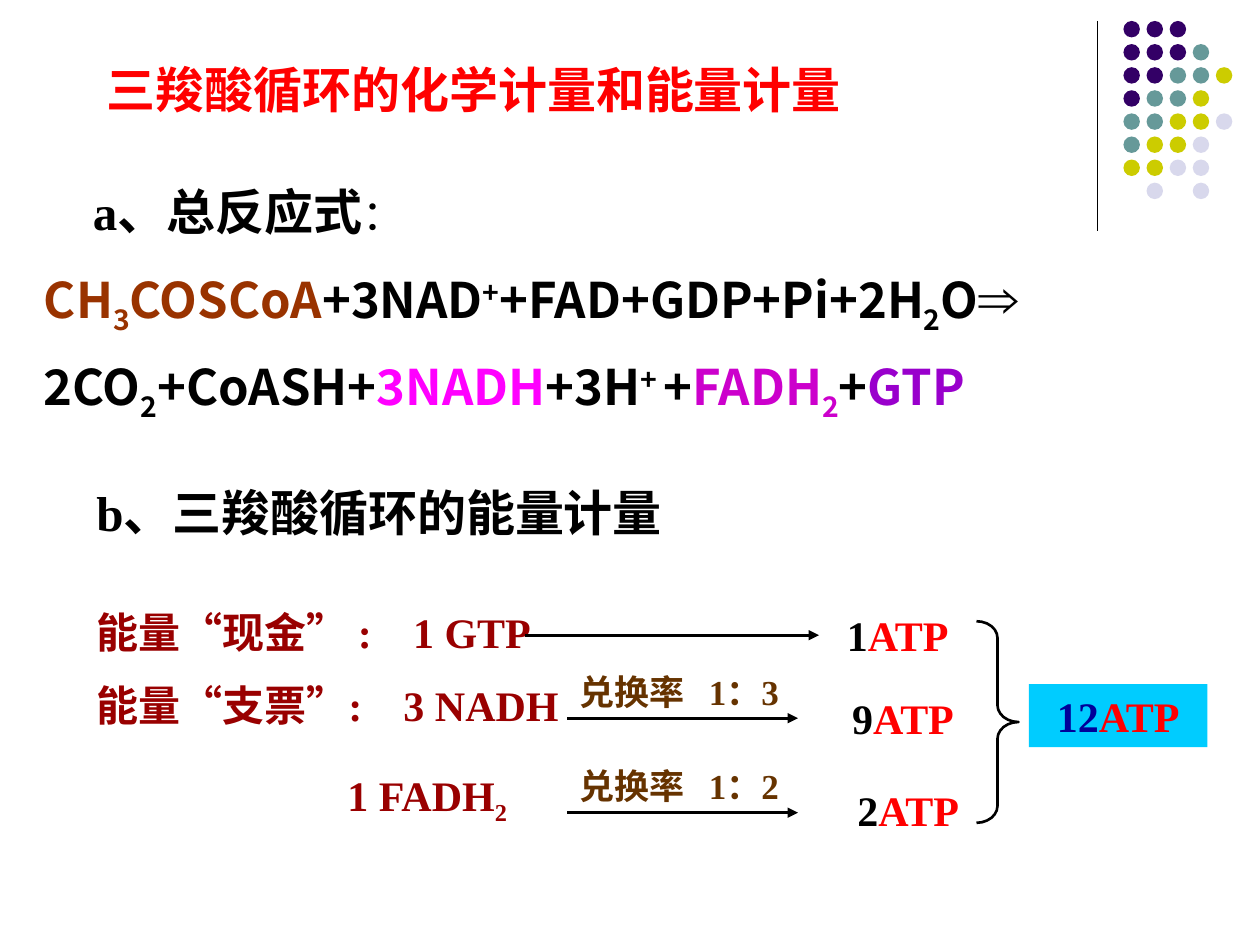
from dataclasses import dataclass

from lxml import etree
from pptx import Presentation
from pptx.dml.color import RGBColor
from pptx.enum.shapes import MSO_CONNECTOR, MSO_SHAPE
from pptx.enum.text import MSO_ANCHOR, PP_ALIGN
from pptx.oxml.ns import qn
from pptx.util import Pt

STRAIGHT = MSO_CONNECTOR.STRAIGHT
OVAL, RECTANGLE, BRACE = MSO_SHAPE.OVAL, MSO_SHAPE.RECTANGLE, MSO_SHAPE.RIGHT_BRACE
TOP, MIDDLE = MSO_ANCHOR.TOP, MSO_ANCHOR.MIDDLE
CENTER = PP_ALIGN.CENTER


@dataclass(frozen=True)
class Theme:
    serif: str = "Times New Roman"
    sans: str = "Noto Sans CJK SC"
    symbol: str = "Arial"
    heading: int = 28
    body: int = 24
    rate: int = 20
    arrow_sign: int = 32
    black: str = "000000"
    red: str = "FF0000"
    acetyl: str = "993300"
    nadh: str = "FF00FF"
    fadh: str = "CC00CC"
    gtp: str = "9900CC"
    energy: str = "990000"
    exchange: str = "663300"
    total: str = "000099"
    total_fill: str = "00CCFF"


THEME = Theme()
DOT_COLORS = {"P": "330066", "T": "669999", "Y": "CCCC00", "L": "D8D8EC"}
DOT_ROWS = ["PPP", "PPPT", "PPTTY", "PTTY", "TTYYL", "TYYL", "YYLL", " L L"]


def add_run(para, text, color=THEME.black, size=THEME.body, face=THEME.serif,
            baseline=0, bold=True):
    span = para.add_run()
    span.text = text
    span.font.name = face
    span.font.size = Pt(size)
    span.font.bold = bold
    span.font.color.rgb = RGBColor.from_string(color)
    properties = span.font._element
    if face != THEME.symbol:
        etree.SubElement(properties, qn("a:ea")).set("typeface", THEME.sans)
    if baseline:
        properties.set("baseline", str(baseline * 1000))


def add_tab(para, position):
    tabs = etree.SubElement(para._p.get_or_add_pPr(), qn("a:tabLst"))
    etree.SubElement(tabs, qn("a:tab"), pos=str(Pt(position)), algn="l")


def set_indent(para, indent):
    para._p.get_or_add_pPr().set("marL", str(Pt(indent)))


def add_text(page, left, top, width, height, anchor=TOP):
    box = page.shapes.add_textbox(Pt(left), Pt(top), Pt(width), Pt(height))
    box.text_frame.word_wrap = True
    box.text_frame.vertical_anchor = anchor
    return box.text_frame


def add_line(page, x1, y1, x2, y2, weight, arrow=False):
    line = page.shapes.add_connector(STRAIGHT, Pt(x1), Pt(y1), Pt(x2), Pt(y2))
    line.line.color.rgb = RGBColor.from_string(THEME.black)
    line.line.width = Pt(weight)
    if arrow:
        etree.SubElement(line.line._get_or_add_ln(), qn("a:tailEnd"), type="triangle")
    etree.SubElement(line._element.spPr, qn("a:effectLst"))


def add_filled(page, kind, left, top, width, height, color):
    shape = page.shapes.add_shape(kind, Pt(left), Pt(top), Pt(width), Pt(height))
    shape.shadow.inherit = False
    shape.fill.solid()
    shape.fill.fore_color.rgb = RGBColor.from_string(color)
    shape.line.fill.background()
    return shape


def add_corner_dots(page, left, top, height):
    """Rule with a staggered dot grid on its right."""
    pitch, size = 13.2, 9.4
    add_line(page, left, top, left, top + height, 0.75)
    for row, letters in enumerate(DOT_ROWS):
        for column, letter in enumerate(letters):
            if letter in DOT_COLORS:
                add_filled(page, OVAL, left + 15 + column * pitch, top + row * pitch,
                           size, size, DOT_COLORS[letter])


def add_title(page, left, top, width, height):
    frame = add_text(page, left, top, width, height, MIDDLE)
    add_run(frame.paragraphs[0], "三羧酸循环的化学计量和能量计量", THEME.red,
            THEME.heading, THEME.sans)


def add_reaction(page, left, top, width, height):
    frame = add_text(page, left, top, width, height)
    heading = frame.paragraphs[0]
    heading.line_spacing = 1.3
    set_indent(heading, 28)
    add_run(heading, "a、总反应式", size=THEME.heading)
    add_run(heading, "：", bold=False)

    black = THEME.black
    reactants = [("CH", THEME.acetyl, 0), ("3", THEME.acetyl, -25),
                 ("COSCoA", THEME.acetyl, 0), ("+3NAD", black, 0), ("+", black, 30),
                 ("+FAD+GDP+Pi+2H", black, 0), ("2", black, -25), ("O", black, 0)]
    products = [("2CO", black, 0), ("2", black, -25), ("+CoASH+", black, 0),
                ("3NADH", THEME.nadh, 0), ("+3H", black, 0), ("+ ", black, 30),
                ("+", black, 0), ("FADH", THEME.fadh, 0), ("2", THEME.fadh, -25),
                ("+", black, 0), ("GTP", THEME.gtp, 0)]
    for side in (reactants, products):
        para = frame.add_paragraph()
        para.line_spacing = 1.3
        for text, color, baseline in side:
            add_run(para, text, color, THEME.heading, THEME.sans, baseline)
        if side is reactants:
            add_run(para, "⇒", size=THEME.arrow_sign, face=THEME.symbol)


def add_energy_heading(page, left, top, width, height):
    para = add_text(page, left, top, width, height).paragraphs[0]
    para.line_spacing = 0.9
    add_run(para, "b、三羧酸循环的能量计量", size=THEME.heading)


def add_carriers(page, left, top, width, height):
    """Energy carriers, one line each: text, tab stop, indent, space before."""
    frame = add_text(page, left, top, width, height)
    lines = [("能量“现金” :\t1 GTP", 181, 0, 0),
             ("能量“支票”:\t3 NADH", 175.5, 0, 18.5),
             ("1 FADH", 0, 143.5, 26)]
    for index, (text, stop, indent, space) in enumerate(lines):
        para = frame.add_paragraph() if index else frame.paragraphs[0]
        para.line_spacing = 0.8
        if space:
            para.space_before = Pt(space)
        if stop:
            add_tab(para, stop)
        set_indent(para, indent)
        add_run(para, text, THEME.energy)
    add_run(para, "2", THEME.energy, baseline=-25)


def add_yield(frame, count, color=THEME.black):
    para = frame.paragraphs[0]
    para.alignment = CENTER
    add_run(para, count, color)
    add_run(para, "ATP", THEME.red)


def add_energy_balance(page, left, top, width, height):
    add_carriers(page, left, top + 3.5, 294, height)
    add_line(page, left + 252, top + 18, left + 420, top + 18, 1.5, arrow=True)
    for rate, offset in (("3", 34.4), ("2", 88.4)):
        para = add_text(page, left + 276, top + offset, 144, 32).paragraphs[0]
        add_tab(para, 74)
        add_run(para, "兑换率\t1：" + rate, THEME.exchange, THEME.rate)
        line_y = top + offset + 31
        add_line(page, left + 276, line_y, left + 408, line_y, 1.5, arrow=True)

    for count, center, offset in (("1", 465, 0), ("9", 468, 47.4), ("2", 471, 100)):
        add_yield(add_text(page, left + center - 39, top + offset, 78, 36), count)

    brace = page.shapes.add_shape(BRACE, Pt(left + 510), Pt(top + 10), Pt(24), Pt(115.2))
    brace.shadow.inherit = False
    brace.fill.background()
    brace.line.color.rgb = RGBColor.from_string(THEME.black)
    brace.line.width = Pt(1.5)
    brace.adjustments[0] = 0.4

    total = add_filled(page, RECTANGLE, left + width - 102, top + 46, 102, 36,
                       THEME.total_fill)
    total.text_frame.vertical_anchor = TOP
    add_yield(total.text_frame, "12", THEME.total)


def main():
    deck = Presentation()
    deck.slide_width, deck.slide_height = Pt(720), Pt(540)
    page = deck.slides.add_slide(deck.slide_layouts[6])
    add_corner_dots(page, 627, 12, 120)
    add_title(page, 54, 6, 612, 90)
    add_reaction(page, 18, 90, 702, 155.5)
    add_energy_heading(page, 48, 276, 444, 37.5)
    add_energy_balance(page, 48, 345, 642, 126)
    deck.save("out.pptx")


if __name__ == "__main__":
    main()
